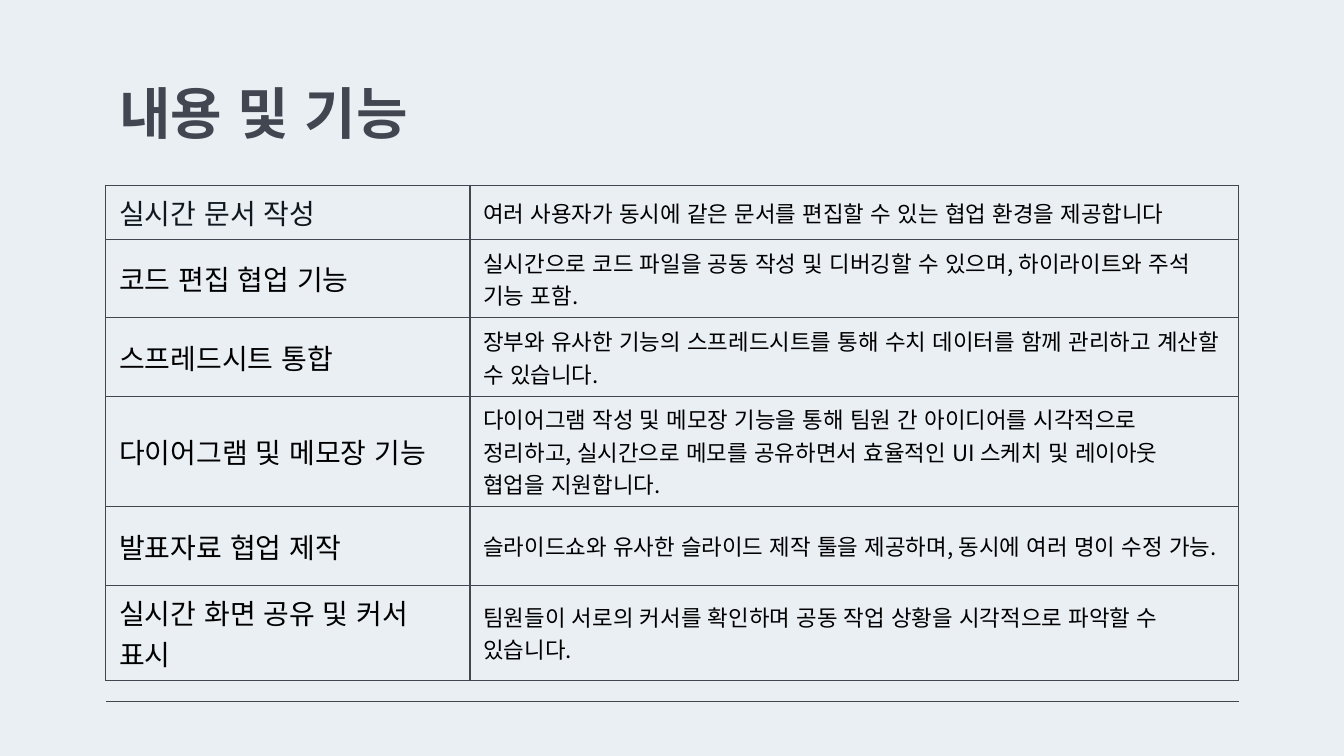
from lxml.etree import SubElement
from pptx import Presentation
from pptx.dml.color import RGBColor
from pptx.enum.lang import MSO_LANGUAGE_ID
from pptx.enum.shapes import MSO_CONNECTOR
from pptx.enum.text import MSO_ANCHOR
from pptx.oxml.ns import qn
from pptx.util import Pt

TITLE = "내용 및 기능"
# Feature, description, row height
FEATURES = [
    ("실시간 문서 작성",
     "여러 사용자가 동시에 같은 문서를 편집할 수 있는 협업 환경을 제공합니다", 28.9),
    ("코드 편집 협업 기능",
     "실시간으로 코드 파일을 공동 작성 및 디버깅할 수 있으며, 하이라이트와 주석 기능 포함.", 42),
    ("스프레드시트 통합",
     "장부와 유사한 기능의 스프레드시트를 통해 수치 데이터를 함께 관리하고 계산할 수 있습니다.", 42),
    ("다이어그램 및 메모장 기능",
     "다이어그램 작성 및 메모장 기능을 통해 팀원 간 아이디어를 시각적으로 정리하고, "
     "실시간으로 메모를 공유하면서 효율적인 UI 스케치 및 레이아웃 협업을 지원합니다.", 59.3),
    ("발표자료 협업 제작",
     "슬라이드쇼와 유사한 슬라이드 제작 툴을 제공하며, 동시에 여러 명이 수정 가능.", 42.2),
    ("실시간 화면 공유 및 커서 표시",
     "팀원들이 서로의 커서를 확인하며 공동 작업 상황을 시각적으로 파악할 수 있습니다.", 50.7),
]
FONT = "Noto Sans CJK KR"
BACKGROUND, SLATE, INK, BLACK = "EAEFF4", "424651", "10181F", "000000"
LEFT, TABLE_TOP = 56.7, 99.4
COLUMNS = (195.1, 411.9)
WIDTH = sum(COLUMNS)
RULE_Y = 375.8
LINE_WIDTH = 0.75


def rgb(value):
    return RGBColor.from_string(value)


def write(tf, text, size, color=BLACK, bold=False):
    tf.word_wrap = True
    r = tf.paragraphs[0].add_run()
    r.text = text
    r.font.size, r.font.bold, r.font.name = Pt(size), bold, FONT
    r.font.language_id = MSO_LANGUAGE_ID.KOREAN
    r.font.color.rgb = rgb(color)
    SubElement(r.font._element, qn("a:ea"), typeface=FONT)


def add_borders(cell):
    tc_pr = cell._tc.get_or_add_tcPr()
    for i, side in enumerate(("lnL", "lnR", "lnT", "lnB")):
        ln = SubElement(tc_pr, qn(f"a:{side}"), w=str(Pt(LINE_WIDTH)))
        fill = SubElement(ln, qn("a:solidFill"))
        SubElement(fill, qn("a:srgbClr"), val=SLATE)
        # Borders precede the cell fill in the schema.
        tc_pr.insert(i, ln)


def add_title(s):
    sp = s.shapes.add_textbox(Pt(LEFT), Pt(37.4), Pt(WIDTH), Pt(45.4))
    tf = sp.text_frame
    tf.margin_left = tf.margin_right = tf.margin_top = tf.margin_bottom = Pt(7.2)
    tf.vertical_anchor = MSO_ANCHOR.MIDDLE
    write(tf, TITLE, 30, SLATE, bold=True)


def add_feature_table(s):
    total_height = sum(height for _, _, height in FEATURES)
    table = s.shapes.add_table(len(FEATURES), len(COLUMNS), Pt(LEFT), Pt(TABLE_TOP),
                               Pt(WIDTH), Pt(total_height)).table
    table.first_row = table.horz_banding = False
    for column, width in zip(table.columns, COLUMNS):
        column.width = Pt(width)
    for i, (name, description, height) in enumerate(FEATURES):
        table.rows[i].height = Pt(height)
        name_cell, description_cell = table.rows[i].cells
        write(name_cell.text_frame, name, 15, BLACK if i else INK)
        write(description_cell.text_frame, description, 12)
        for cell in (name_cell, description_cell):
            cell.vertical_anchor = MSO_ANCHOR.MIDDLE
            cell.fill.background()
            add_borders(cell)


def add_footer_rule(s):
    rule = s.shapes.add_connector(MSO_CONNECTOR.STRAIGHT, Pt(LEFT), Pt(RULE_Y),
                                  Pt(LEFT + WIDTH), Pt(RULE_Y))
    rule.line.color.rgb = rgb(SLATE)
    rule.line.width = Pt(LINE_WIDTH)
    SubElement(rule._element.spPr, qn("a:effectLst"))


def main():
    prs = Presentation()
    prs.slide_width, prs.slide_height = Pt(720), Pt(405)
    s = prs.slides.add_slide(prs.slide_layouts[6])
    s.background.fill.solid()
    s.background.fill.fore_color.rgb = rgb(BACKGROUND)
    add_footer_rule(s)
    add_title(s)
    add_feature_table(s)
    prs.save("out.pptx")


if __name__ == "__main__":
    main()
